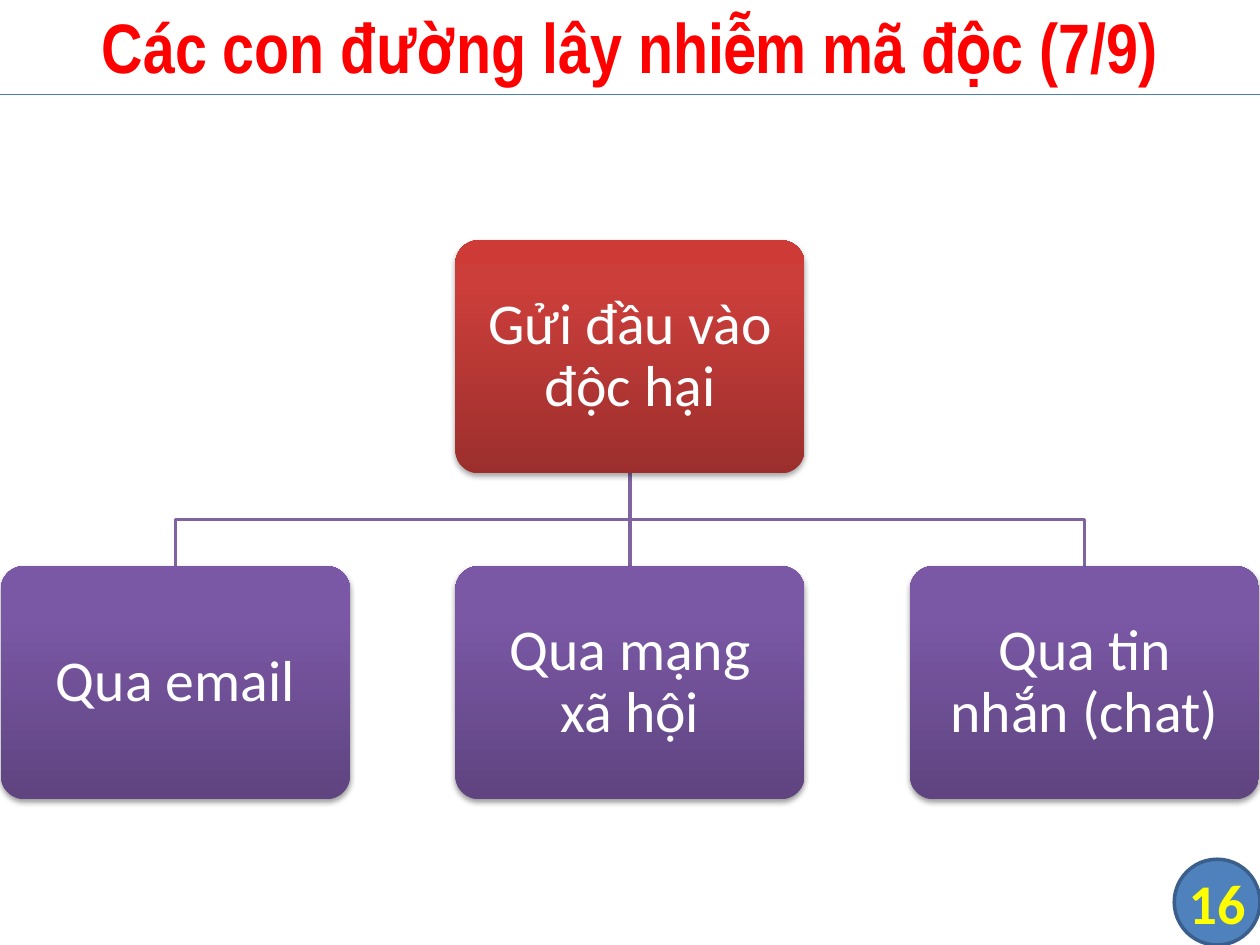
from dataclasses import dataclass

from lxml import etree
from pptx import Presentation
from pptx.dml.color import RGBColor
from pptx.enum import shapes, text
from pptx.oxml import ns
from pptx.util import Pt

SLIDE_WIDTH, SLIDE_HEIGHT = 720, 540
NODE_WIDTH, NODE_HEIGHT = 199.5, 133.2
ROOT_TOP, CHILD_TOP = 137.3, 323.5
CENTER, PITCH = SLIDE_WIDTH / 2, 259.75
BADGE_SIZE = 49
RED = ("9C2F2D", "CB3E3A", "CE3B37")
PURPLE = ("5F4480", "7B58A6", "7C57A8")


@dataclass(frozen=True)
class Node:
    label: str
    center: float
    top: float
    gradient: tuple[str, str, str]
    shadow_opacity: int


def color(value: str) -> RGBColor:
    return RGBColor.from_string(value)


def add_xml(parent, tag: str, **attributes):
    return etree.SubElement(
        parent, ns.qn(tag), {name: str(value) for name, value in attributes.items()}
    )


def set_line(shape, line_color: str, width: float) -> None:
    shape.line.color.rgb = color(line_color)
    shape.line.width = Pt(width)


def set_text(shape, words: str, font_name: str, size: float, font_color: str,
             bold: bool = False, margin: float = 0) -> None:
    frame = shape.text_frame
    frame.text = words
    frame.word_wrap = True
    frame.vertical_anchor = text.MSO_ANCHOR.MIDDLE
    frame.margin_left = frame.margin_right = Pt(margin)
    frame.margin_top = frame.margin_bottom = Pt(margin)
    paragraph = frame.paragraphs[0]
    paragraph.alignment = text.PP_ALIGN.CENTER
    font = paragraph.runs[0].font
    font.name, font.size, font.bold = font_name, Pt(size), bold
    font.color.rgb = color(font_color)


def set_gradient(shape, colors: tuple[str, str, str]) -> None:
    """Fill upwards, from the first colour at the bottom to the last at the top."""
    shape.fill.gradient()
    gradient = shape._element.spPr.find(ns.qn("a:gradFill"))
    for child in list(gradient):
        gradient.remove(child)
    stops = add_xml(gradient, "a:gsLst")
    for position, value in zip((0, 80000, 100000), colors):
        add_xml(add_xml(stops, "a:gs", pos=position), "a:srgbClr", val=value)
    add_xml(gradient, "a:lin", ang=270 * 60000, scaled=0)


def set_shadow(shape, opacity: int) -> None:
    shape.shadow.inherit = False
    effects = shape._element.spPr.find(ns.qn("a:effectLst"))
    shadow = add_xml(effects, "a:outerShdw", blurRad=Pt(3.1), dist=Pt(1.7),
                     dir=90 * 60000, rotWithShape=0)
    black = add_xml(shadow, "a:srgbClr", val="000000")
    add_xml(black, "a:alpha", val=opacity * 1000)


def add_node(slide, node: Node) -> None:
    shape = slide.shapes.add_shape(
        shapes.MSO_SHAPE.ROUNDED_RECTANGLE,
        Pt(node.center - NODE_WIDTH / 2), Pt(node.top), Pt(NODE_WIDTH), Pt(NODE_HEIGHT))
    shape.adjustments[0] = 0.1
    set_gradient(shape, node.gradient)
    shape.line.fill.background()
    set_shadow(shape, node.shadow_opacity)
    set_text(shape, node.label, "Calibri", 33, "FFFFFF", margin=14)
    shape.text_frame.paragraphs[0].line_spacing = 0.9


def add_branch(slide, parent: Node, child: Node) -> None:
    start = parent.top + NODE_HEIGHT
    middle = (start + child.top) / 2
    points = [(child.center, child.top)]
    if child.center != parent.center:
        points = [(parent.center, middle), (child.center, middle)] + points
    builder = slide.shapes.build_freeform(Pt(parent.center), Pt(start))
    builder.add_line_segments([(Pt(x), Pt(y)) for x, y in points], close=False)
    branch = builder.convert_to_shape()
    branch.fill.background()
    branch.shadow.inherit = False
    set_line(branch, "8064A2", 2)


def add_title(slide, words: str) -> None:
    rule = slide.shapes.add_connector(
        shapes.MSO_CONNECTOR.STRAIGHT, 0, Pt(54), Pt(SLIDE_WIDTH), Pt(54))
    set_line(rule, "4B7EBC", 0.75)
    add_xml(rule._element.spPr, "a:effectLst")
    title = slide.shapes.add_textbox(0, Pt(-2), Pt(SLIDE_WIDTH), Pt(56))
    set_text(title, words, "Arial Narrow", 40, "FF0000", bold=True, margin=3.6)


def add_page_badge(slide, number: str) -> None:
    place = (Pt(SLIDE_WIDTH - BADGE_SIZE), Pt(SLIDE_HEIGHT - BADGE_SIZE),
             Pt(BADGE_SIZE), Pt(BADGE_SIZE))
    badge = slide.shapes.add_shape(shapes.MSO_SHAPE.FLOWCHART_CONNECTOR, *place)
    badge.shadow.inherit = False
    badge.fill.solid()
    badge.fill.fore_color.rgb = color("4F81BD")
    set_line(badge, "3A5F8C", 2)
    label = slide.shapes.add_textbox(*place)
    set_text(label, number, "Calibri", 32, "FFFF00", bold=True)


def main() -> None:
    presentation = Presentation()
    presentation.slide_width = Pt(SLIDE_WIDTH)
    presentation.slide_height = Pt(SLIDE_HEIGHT)
    slide = presentation.slides.add_slide(presentation.slide_layouts[6])

    add_title(slide, "Các con đường lây nhiễm mã độc (7/9)")
    root = Node("Gửi đầu vào độc hại", CENTER, ROOT_TOP, RED, 35)
    labels = ("Qua email", "Qua mạng xã hội", "Qua tin nhắn (chat)")
    children = [Node(label, CENTER + (index - 1) * PITCH, CHILD_TOP, PURPLE, 38)
                for index, label in enumerate(labels)]
    for child in children:
        add_branch(slide, root, child)
    for node in (root, *children):
        add_node(slide, node)
    add_page_badge(slide, "16")
    presentation.save("out.pptx")


if __name__ == "__main__":
    main()
